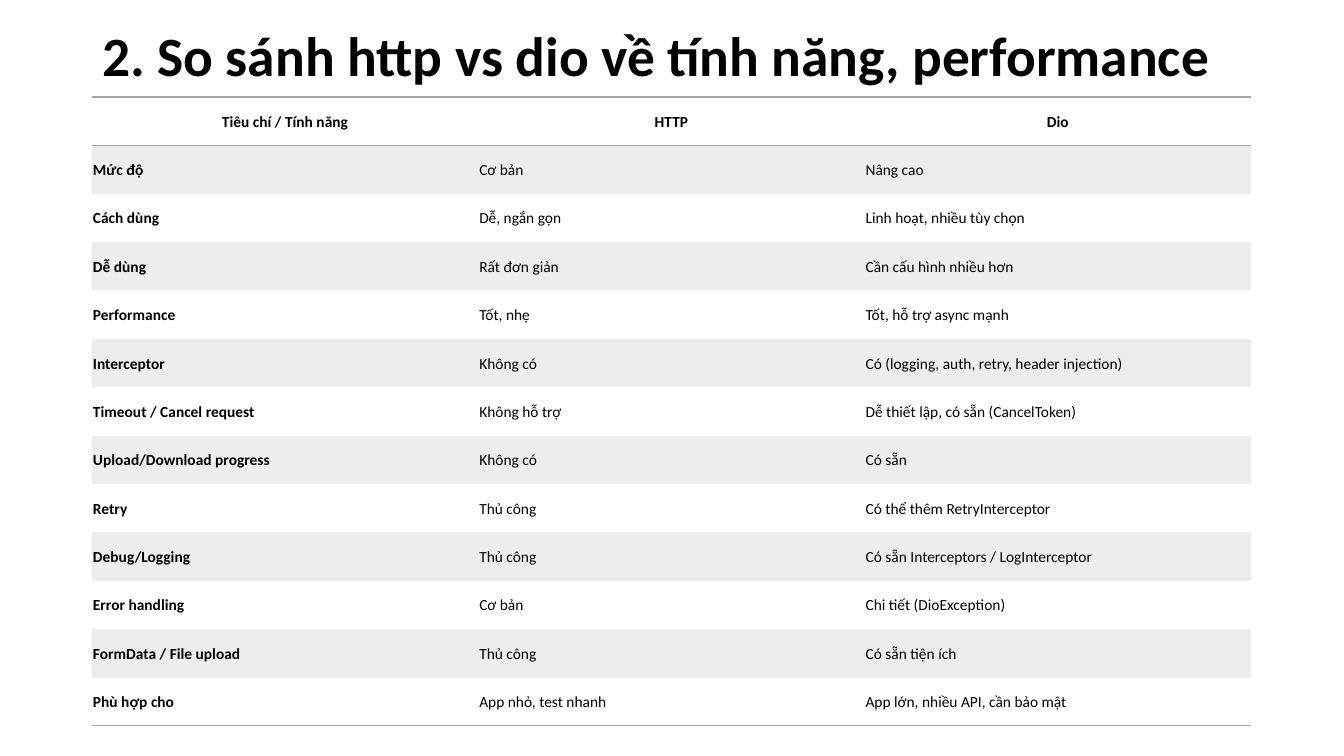
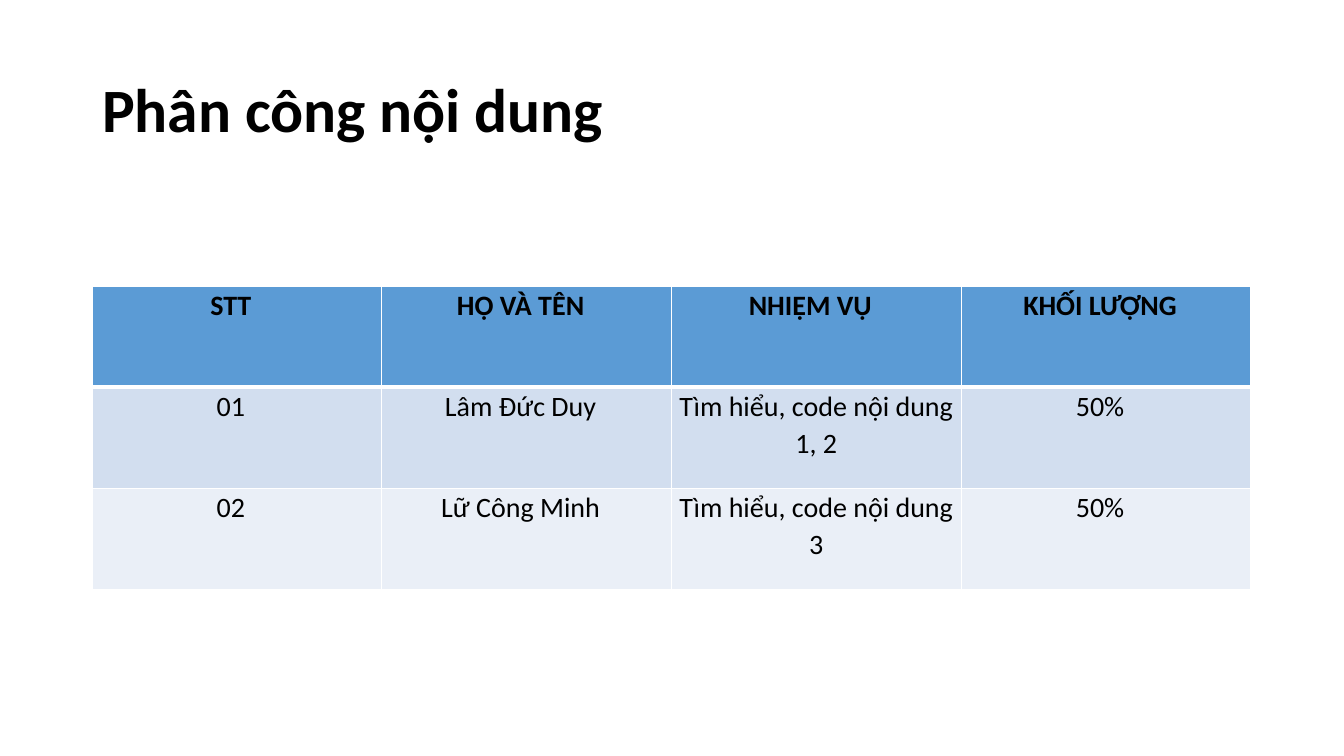
from lxml import etree
from pptx import Presentation
from pptx.dml.color import RGBColor
from pptx.enum.text import MSO_ANCHOR, MSO_AUTO_SIZE, PP_ALIGN
from pptx.oxml.ns import qn
from pptx.util import Pt

LEFT, CENTER = PP_ALIGN.LEFT, PP_ALIGN.CENTER
TOP, MIDDLE = MSO_ANCHOR.TOP, MSO_ANCHOR.MIDDLE
NO_AUTOFIT = MSO_AUTO_SIZE.NONE

SCALE = 914400 / 100.8
TITLE_ONLY = 5
PLAIN_TABLE = "{2D5ABB26-0587-4C30-8999-92F81FD0307C}"
FONT = "Calibri"
MARGIN, CONTENT_WIDTH = 92, 1159
COLORS = {
    "text": "000000",
    "rule": "A5A5A5",
    "stripe": "EDEDED",
    "grid": "FFFFFF",
    "header": "5B9BD5",
    "odd": "D2DEEF",
    "even": "EAEFF7",
}

COMPARISON = [
    ("Tiêu chí / Tính năng", "HTTP", "Dio"),
    ("Mức độ", "Cơ bản", "Nâng cao"),
    ("Cách dùng", "Dễ, ngắn gọn", "Linh hoạt, nhiều tùy chọn"),
    ("Dễ dùng", "Rất đơn giản", "Cần cấu hình nhiều hơn"),
    ("Performance", "Tốt, nhẹ", "Tốt, hỗ trợ async mạnh"),
    ("Interceptor", "Không có", "Có (logging, auth, retry, header injection)"),
    ("Timeout / Cancel request", "Không hỗ trợ", "Dễ thiết lập, có sẵn (CancelToken)"),
    ("Upload/Download progress", "Không có", "Có sẵn"),
    ("Retry", "Thủ công", "Có thể thêm RetryInterceptor"),
    ("Debug/Logging", "Thủ công", "Có sẵn Interceptors / LogInterceptor"),
    ("Error handling", "Cơ bản", "Chi tiết (DioException)"),
    ("FormData / File upload", "Thủ công", "Có sẵn tiện ích"),
    ("Phù hợp cho", "App nhỏ, test nhanh", "App lớn, nhiều API, cần bảo mật"),
]
ASSIGNMENT = [
    ("STT", "HỌ VÀ TÊN", "NHIỆM VỤ", "KHỐI LƯỢNG"),
    ("01", "Lâm Đức Duy", "Tìm hiểu, code nội dung 1, 2", "50%"),
    ("02", "Lữ Công Minh", "Tìm hiểu, code nội dung 3", "50%"),
]


def px(length):
    """Turn a length in px into EMU."""
    return round(length * SCALE)


def assign(target, values):
    """Set each attribute of the target from a dict."""
    for name, value in values.items():
        setattr(target, name, value)


def ruled_format(row, column, last_row):
    """Return the cell format of a striped table with horizontal rules."""
    header = row == 0
    borders = {"lnT": ("rule", 1)} if header else {}
    if row in (0, last_row):
        borders["lnB"] = ("rule", 1)
    return {
        "size": 11,
        "bold": header or column == 0,
        "align": CENTER if header else LEFT,
        "anchor": MIDDLE,
        "insets": (1, 1, 1, 1),
        "fill": "stripe" if row % 2 else None,
        "borders": borders,
    }


def grid_format(row, column, last_row):
    """Return the cell format of a coloured table with a white grid."""
    header = row == 0
    task = column == 2 and not header
    return {
        "size": 20,
        "bold": header,
        "align": CENTER,
        "anchor": TOP,
        "insets": (0, 0, 0 if task else 12, 0),
        "fill": "header" if header else "odd" if row % 2 else "even",
        "borders": {
            "lnL": ("grid", 1),
            "lnR": ("grid", 1),
            "lnT": ("grid", 3 if row == 1 else 1),
            "lnB": ("grid", 3 if header else 1),
        },
    }


class Deck:
    """Hold the shared style and the slide being built."""

    def __init__(self):
        """Start an empty widescreen deck."""
        self.presentation = Presentation()
        assign(self.presentation, {"slide_width": px(1344), "slide_height": px(756)})
        self.slide = None

    def add_slide(self, title, top, height, size):
        """Add a slide with its title."""
        layout = self.presentation.slide_layouts[TITLE_ONLY]
        self.slide = self.presentation.slides.add_slide(layout)
        heading = self.slide.shapes.title
        assign(heading, {"left": px(MARGIN), "top": px(top),
                         "width": px(CONTENT_WIDTH), "height": px(height)})
        assign(heading.text_frame, {"word_wrap": True, "auto_size": NO_AUTOFIT,
                                    "vertical_anchor": MIDDLE})
        self.add_text(heading.text_frame, title, size, True,
                      {"alignment": LEFT, "line_spacing": 0.9})

    def add_text(self, frame, text, size, bold, spacing):
        """Put one formatted paragraph into a text frame."""
        paragraph = frame.paragraphs[0]
        assign(paragraph, spacing)
        run = paragraph.add_run()
        run.text = text
        assign(run.font, {"name": FONT, "size": Pt(size), "bold": bold})
        run.font.color.rgb = RGBColor.from_string(COLORS["text"])

    def add_table(self, rows, top, height, cell_format):
        """Add a table with equal rows and columns."""
        table = self.slide.shapes.add_table(
            len(rows), len(rows[0]), px(MARGIN), px(top),
            px(CONTENT_WIDTH), px(height)).table
        assign(table, {"first_row": False, "horz_banding": False})
        table._tbl.tblPr.find(qn("a:tableStyleId")).text = PLAIN_TABLE
        for row, texts in enumerate(rows):
            for column, text in enumerate(texts):
                self.fill_cell(table.cell(row, column), text,
                               cell_format(row, column, len(rows) - 1))

    def fill_cell(self, cell, text, look):
        """Fill and format one table cell."""
        sides = ("margin_left", "margin_top", "margin_right", "margin_bottom")
        assign(cell, dict(zip(sides, map(px, look["insets"]))))
        cell.vertical_anchor = look["anchor"]
        for side, (color, width) in look["borders"].items():
            self.add_border(cell, side, color, width)
        if look["fill"]:
            cell.fill.solid()
            cell.fill.fore_color.rgb = RGBColor.from_string(COLORS[look["fill"]])
        else:
            cell.fill.background()
        self.add_text(cell.text_frame, text, look["size"], look["bold"],
                      {"alignment": look["align"], "line_spacing": 1.07,
                       "space_after": Pt(8)})

    def add_border(self, cell, side, color, width):
        """Draw one side of a table cell."""
        properties = cell._tc.get_or_add_tcPr()
        line = etree.SubElement(properties, qn(f"a:{side}"), w=str(Pt(width)))
        fill = etree.SubElement(line, qn("a:solidFill"))
        etree.SubElement(fill, qn("a:srgbClr"), val=COLORS[color])


def main():
    """Build and save the deck."""
    deck = Deck()
    deck.add_slide("2. So sánh http vs dio về tính năng, performance", 0, 117, 39.6)
    deck.add_table(COMPARISON, 97, 629, ruled_format)
    deck.add_slide("Phân công nội dung", 40, 146, 44)
    deck.add_table(ASSIGNMENT, 286, 304, grid_format)
    deck.presentation.save("out.pptx")


if __name__ == "__main__":
    main()
